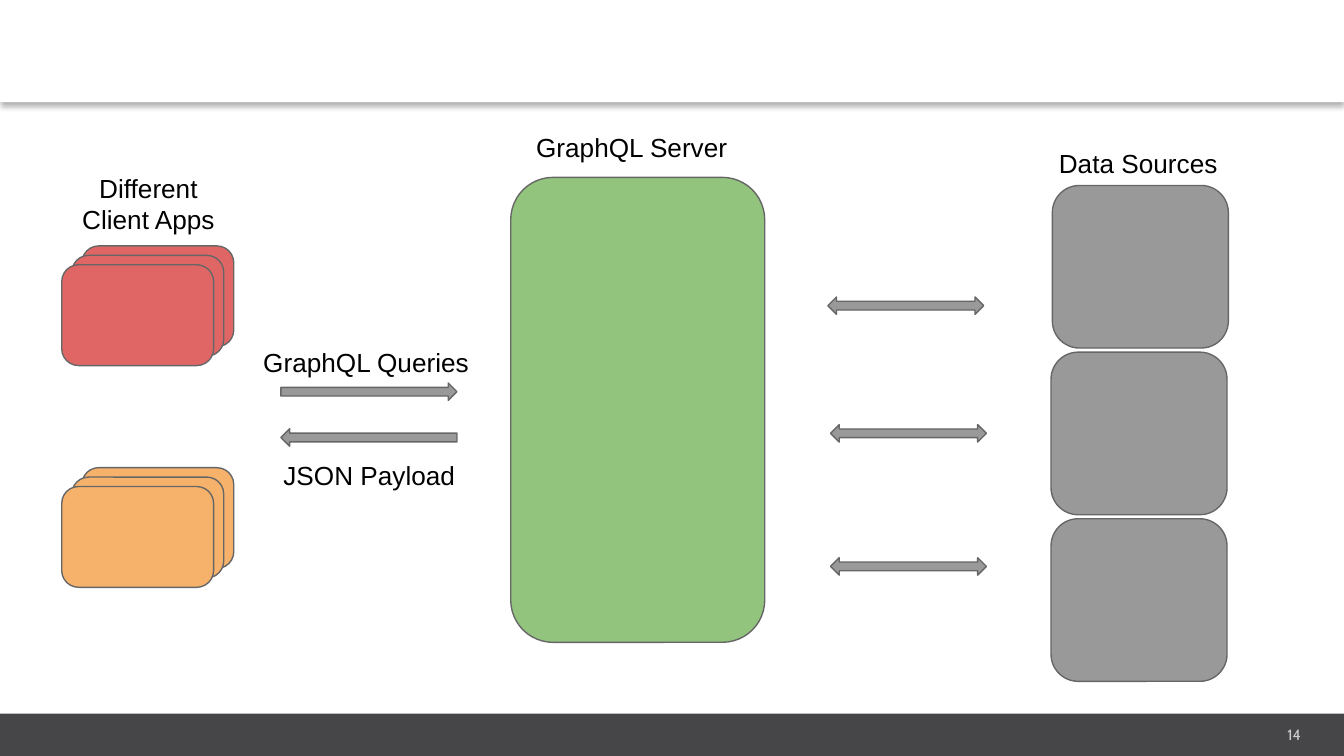
from lxml import etree
from pptx import Presentation
from pptx.dml.color import RGBColor
from pptx.enum.shapes import MSO_SHAPE
from pptx.enum.text import MSO_ANCHOR, PP_ALIGN
from pptx.oxml.ns import qn
from pptx.util import Inches, Pt

RECT = MSO_SHAPE.RECTANGLE
ROUND = MSO_SHAPE.ROUNDED_RECTANGLE
RIGHT = MSO_SHAPE.RIGHT_ARROW
BOTH = MSO_SHAPE.LEFT_RIGHT_ARROW
TOP, MIDDLE = MSO_ANCHOR.TOP, MSO_ANCHOR.MIDDLE
LEFT, CENTER, END = PP_ALIGN.LEFT, PP_ALIGN.CENTER, PP_ALIGN.RIGHT

WHITE, BLACK, PALE = "FFFFFF", "000000", "CCCCCC"
DARK, EDGE, GRAY = "464547", "666666", "999999"
RED, ORANGE, GREEN = "E06666", "F6B26B", "93C47D"


def color(code):
    return RGBColor.from_string(code)


class Board:
    font = "Arial"
    size = 14

    def __init__(self, slide):
        self.slide = slide

    def shape(self, kind, x, y, w, h, fill, edge=None):
        item = self.slide.shapes.add_shape(
            kind, Inches(x), Inches(y), Inches(w), Inches(h))
        item.shadow.inherit = False
        item.fill.solid()
        item.fill.fore_color.rgb = color(fill)
        if edge:
            item.line.color.rgb = color(edge)
            item.line.width = Pt(0.75)
        else:
            item.line.fill.background()
        return item

    def bar(self, x, y, w, h, fill):
        return self.shape(RECT, x, y, w, h, fill)

    def box(self, x, y, w, h, fill):
        return self.shape(ROUND, x, y, w, h, fill, EDGE)

    def stack(self, x, y, fill, count=3):
        """Draw overlapping cards from back to front; x, y is the back card."""
        for i in range(count):
            self.box(x - 0.15 * i / 2, y + 0.07 * i, 1.13, 0.75, fill)

    def arrow(self, kind, x, y, w, turn=0):
        self.shape(kind, x, y, w, 0.13, GRAY, EDGE).rotation = turn

    def shade(self, item):
        """Give the shape a soft shadow straight below it."""
        effects = item._element.spPr.find(qn("a:effectLst"))
        outer = etree.SubElement(
            effects, qn("a:outerShdw"), blurRad=str(Pt(3.1)),
            dist=str(Pt(2)), dir="5400000", algn="t", rotWithShape="0")
        tint = etree.SubElement(outer, qn("a:srgbClr"), val=BLACK)
        etree.SubElement(tint, qn("a:alpha"), val="30000")

    def text(self, x, y, w, h, lines, align=LEFT, anchor=TOP, pad=(0.1, 0.1),
             font=font, size=size, ink=BLACK):
        frame = self.slide.shapes.add_textbox(
            Inches(x), Inches(y), Inches(w), Inches(h)).text_frame
        frame.word_wrap = True
        frame.vertical_anchor = anchor
        frame.margin_left = frame.margin_right = Inches(pad[0])
        frame.margin_top = frame.margin_bottom = Inches(pad[1])
        for i, line in enumerate(lines):
            para = frame.add_paragraph() if i else frame.paragraphs[0]
            para.alignment = align
            run = para.add_run()
            run.text = line
            run.font.name = font
            run.font.size = Pt(size)
            run.font.color.rgb = color(ink)


def main():
    deck = Presentation()
    deck.slide_width = Inches(10)
    deck.slide_height = Inches(10 * 9 / 16)
    board = Board(deck.slides.add_slide(deck.slide_layouts[6]))

    # Header and footer
    board.bar(0, 5.31, 10.01, 0.33, DARK)
    board.text(8.12, 5.36, 1.63, 0.21, ["14"], END, MIDDLE, (0.07, 0.04),
               "Cabin", 8, PALE)
    board.shade(board.bar(0, 0, 10, 0.76, WHITE))

    # Clients
    board.stack(0.61, 3.48, ORANGE)
    board.stack(0.61, 1.83, RED)
    board.text(0.12, 1.18, 1.97, 0.5, ["Different", "Client Apps"], CENTER)

    # Server
    board.box(3.8, 1.32, 1.89, 3.46, GREEN)
    board.text(3.89, 0.88, 1.71, 0.5, ["GraphQL Server"])

    # Query and reply
    board.arrow(RIGHT, 2.09, 2.85, 1.31)
    board.text(1.86, 2.48, 1.82, 0.38, ["GraphQL Queries"])
    board.arrow(RIGHT, 2.09, 3.19, 1.31, 180)
    board.text(2.01, 3.32, 1.71, 0.32, ["JSON Payload"])

    # Data sources
    board.text(7.78, 1, 1.82, 0.5, ["Data Sources"])
    rows = [(7.83, 6.16, 2.21), (7.82, 6.18, 3.16), (7.82, 6.18, 4.15)]
    for i, (x, tip, y) in enumerate(rows):
        board.box(x, 1.38 + 1.24 * i, 1.31, 1.21, GRAY)
        board.arrow(BOTH, tip, y, 1.16)

    deck.save("out.pptx")


if __name__ == "__main__":
    main()
